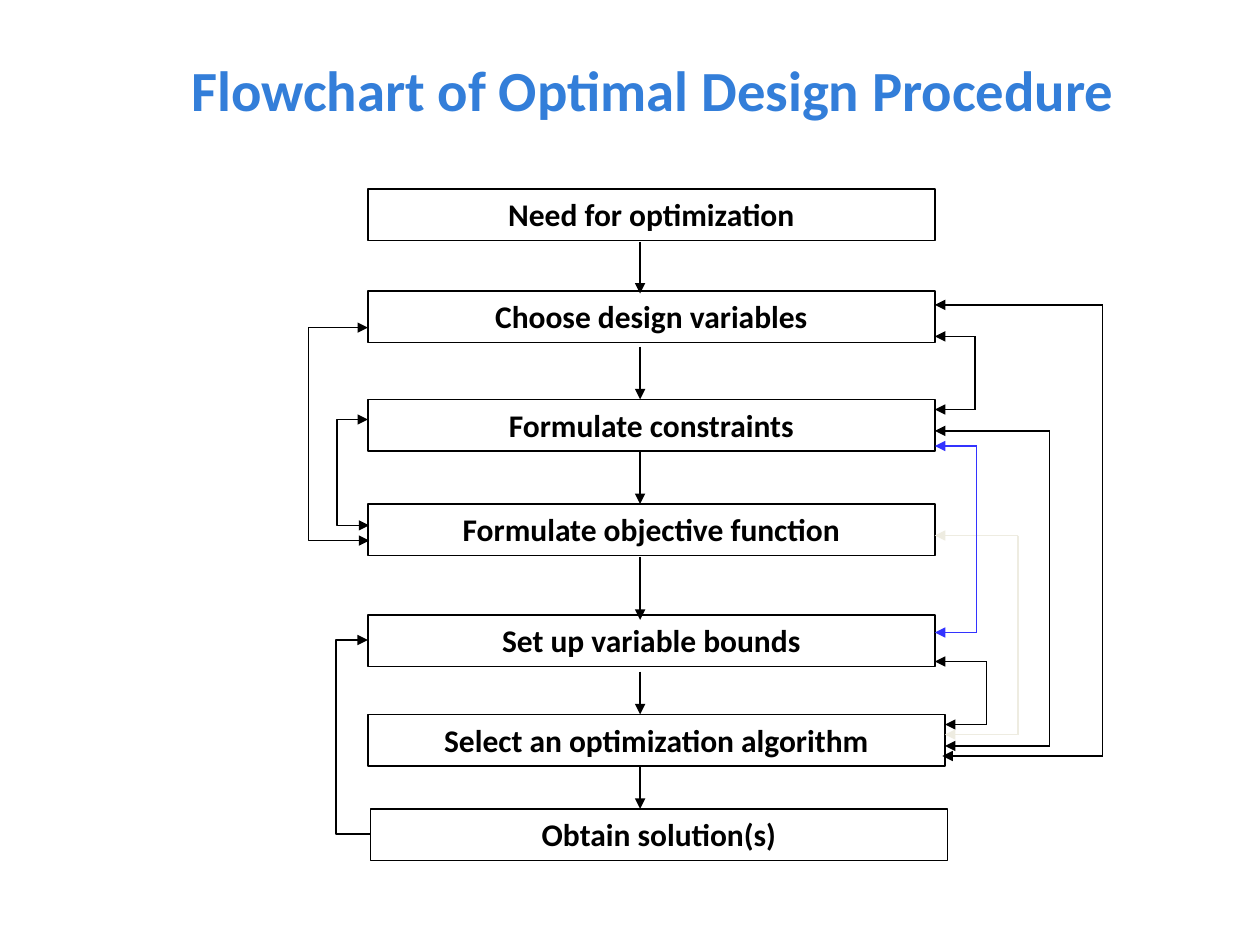
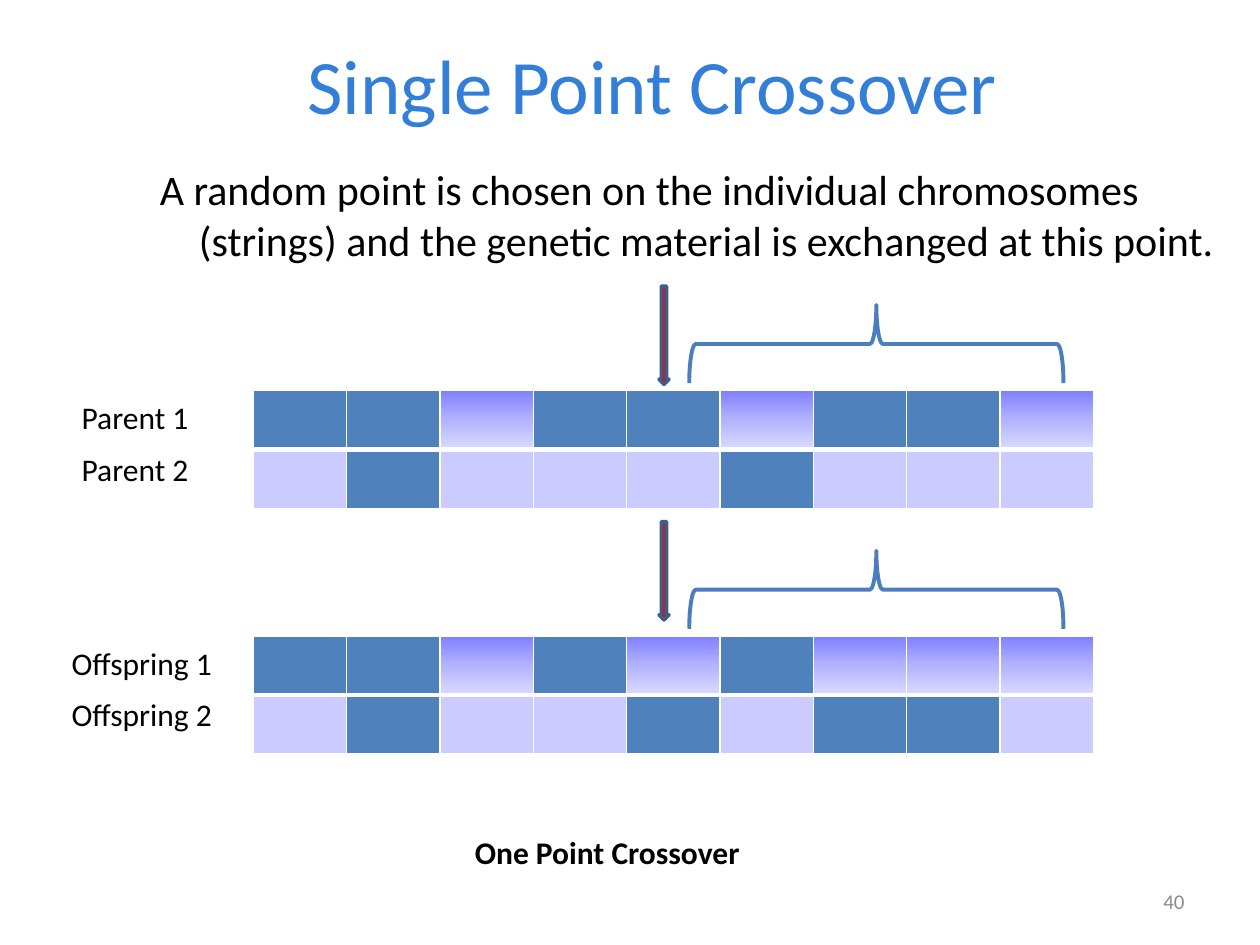
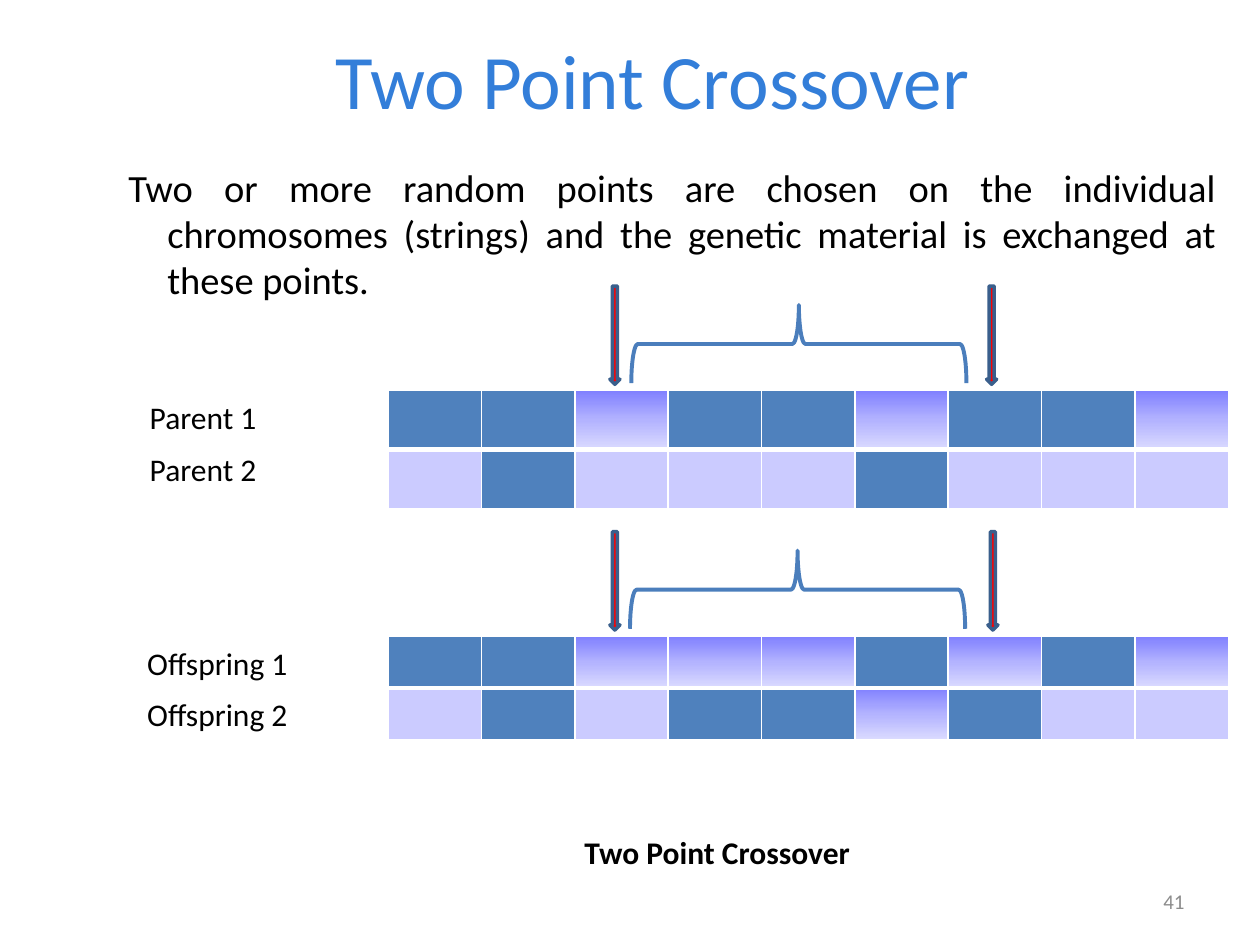
from lxml import etree
from pptx import Presentation
from pptx.dml.color import RGBColor
from pptx.enum import shapes, text
from pptx.oxml.ns import qn
from pptx.util import Inches, Pt

COLORS = {
    "title": "337ED9", "ink": "000000", "number": "8C8C8C", "white": "FFFFFF",
    "cream": "EEECE1", "blue": "3333FF", "red": "FF0000",
    "arrow_edge": "3A5F8C", "brace": "4B7EBC",
}
FONT = "Calibri"
SHAPE, ALIGN, ANCHOR = shapes.MSO_SHAPE, text.PP_ALIGN, text.MSO_ANCHOR

# ---- Content: flowchart (lengths in inches)
FLOW_TITLE = "Flowchart of Optimal Design Procedure"
BOX_HEIGHT = 0.41
STEPS = [  # label, left, top, width
    ("Need for optimization", 2.92, 1.5, 4.5),
    ("Choose design variables", 2.92, 2.31, 4.5),
    ("Formulate constraints", 2.92, 3.17, 4.5),
    ("Formulate objective function", 2.92, 4, 4.5),
    ("Set up variable bounds", 2.92, 4.88, 4.5),
    ("Select an optimization algorithm", 2.92, 5.67, 4.58),
    ("Obtain solution(s)", 2.94, 6.42, 4.58),
]
STEP_ARROW_X = 5.08
STEP_ARROWS = [(1.92, 2.33), (2.75, 3.17), (3.58, 4), (4.42, 4.92),
               (5.33, 5.67), (6.08, 6.42)]
RIGHT_LOOPS = [  # spine x, (box edge, y) at the top and at the bottom, colour
    (7.83, (7.42, 5.25), (7.5, 5.75), "ink"),
    (8.08, (7.42, 4.25), (7.5, 5.83), "cream"),
    (8.33, (7.42, 3.42), (7.5, 5.92), "ink"),
    (8.75, (7.42, 2.42), (7.48, 6), "ink"),
    (7.74, (7.42, 2.67), (7.42, 3.25), "ink"),
    (7.75, (7.42, 3.54), (7.42, 5.02), "blue"),
]
LEFT_LOOPS = [  # spine x, start, end, arrowheads
    (2.67, (2.92, 3.33), (2.93, 4.17), ("headEnd", "tailEnd")),
    (2.44, (2.92, 2.6), (2.93, 4.29), ("headEnd", "tailEnd")),
    (2.67, (2.94, 6.62), (2.92, 5.08), ("tailEnd",)),
]

# ---- Content: crossover slides. Genes: D dark, L light, G gradient
GENE_FILLS = {"D": ["4F81BD"], "L": ["CBCBFF"], "G": ["8080FF", "B3B3FF", "DADAFF"]}
PARENTS = ("DDGDDGDDG", "LDLLLDLLL")
CROSSOVERS = [
    {
        "title": ("Single Point Crossover", 0.25, 0.83),
        "body": "A random point is chosen on the individual chromosomes (strings) "
                "and the genetic material is exchanged at this point.",
        "body_box": (1.08, 1.25, 8.92, 1), "body_format": (24, ALIGN.LEFT),
        "table_left": 2.01,
        "groups": [
            {"name": "Parent", "left": 0.55, "genes": PARENTS, "empty_size": 22,
             "arrows": [(5.23, 2.27)], "brace": (5.47, 2.97)},
            {"name": "Offspring", "left": 0.47, "genes": ("DDGDGDGGG", "LDLLDLDDL"),
             "empty_size": 22, "arrows": [(5.23, 4.14)], "brace": (5.47, 2.97)},
        ],
        "caption": ("One Point Crossover", 3.67), "number": "40",
    },
    {
        "title": ("Two Point Crossover", 0, 1.25),
        "body": "Two or more random points are chosen on the individual chromosomes "
                "(strings) and the genetic material is exchanged at these points.",
        "body_box": (0.83, 1.25, 8.92, 1.08), "body_format": (22, ALIGN.JUSTIFY),
        "table_left": 3.08,
        "groups": [
            {"name": "Parent", "left": 1.09, "genes": PARENTS, "empty_size": 22,
             "arrows": [(4.84, 2.27), (7.83, 2.27)], "brace": (5.01, 2.66)},
            {"name": "Offspring", "left": 1.07, "genes": ("DDGGGDGDG", "LDLDDGDLL"),
             "empty_size": 18, "arrows": [(4.84, 4.22), (7.84, 4.22)],
             "brace": (5, 2.66)},
        ],
        "caption": ("Two Point Crossover", 4.54), "number": "41",
    },
]
GROUP_TOP, GROUP_STEP = 3.1, 1.95
TABLE_WIDTH, ROW_HEIGHT = 6.67, 0.41
BRACE_DEPTH, BRACE_GAP = 0.62, 0.06

presentation = Presentation()
presentation.slide_width, presentation.slide_height = Inches(10), Inches(7.5)


# ---- Shared helpers
def rgb(name):
    return RGBColor.from_string(COLORS[name])


def new_slide():
    return presentation.slides.add_slide(presentation.slide_layouts[6])


def write(shape, words, size, color="ink", bold=False, align=ALIGN.LEFT,
          anchor=ANCHOR.TOP, grow=False):
    frame = shape.text_frame
    frame.word_wrap = True
    frame.vertical_anchor = anchor
    if grow:
        frame.auto_size = text.MSO_AUTO_SIZE.SHAPE_TO_FIT_TEXT
    paragraph = frame.paragraphs[0]
    paragraph.alignment = align
    run = paragraph.add_run()
    run.text = words
    for key, value in {"name": FONT, "size": Pt(size), "bold": bold}.items():
        setattr(run.font, key, value)
    run.font.color.rgb = rgb(color)
    return paragraph


def add_text(slide, box, words, size, **options):
    shape = slide.shapes.add_textbox(*map(Inches, box))
    return write(shape, words, size, **options)


def add_title(slide, words, top, height, size, bold=False):
    add_text(slide, (1.08, top, 8.2, height), words, size, color="title",
             bold=bold, align=ALIGN.CENTER, anchor=ANCHOR.MIDDLE)


def add_outline(slide, kind, box, line, width, fill=None):
    shape = slide.shapes.add_shape(kind, *map(Inches, box))
    shape.shadow.inherit = False
    if fill:
        shape.fill.solid()
        shape.fill.fore_color.rgb = rgb(fill)
    else:
        shape.fill.background()
    shape.line.color.rgb = rgb(line)
    shape.line.width = Pt(width)
    return shape


def add_line(slide, start, end, color="ink", heads=(), spine=None):
    """Straight line, or an elbow that runs by way of x = spine."""
    kind = shapes.MSO_CONNECTOR.STRAIGHT if spine is None else shapes.MSO_CONNECTOR.ELBOW
    connector = slide.shapes.add_connector(kind, *map(Inches, (*start, *end)))
    connector.line.color.rgb = rgb(color)
    connector.line.width = Pt(1)
    properties = connector._element.spPr
    for head in heads:
        etree.SubElement(properties.find(qn("a:ln")), qn("a:" + head), type="triangle")
    etree.SubElement(properties, qn("a:effectLst"))
    if spine is not None:
        share = round((spine - start[0]) / (end[0] - start[0]) * 100000)
        guides = properties.find(qn("a:prstGeom")).get_or_add_avLst()
        etree.SubElement(guides, qn("a:gd"), name="adj1", fmla=f"val {share}")


# ---- Gene tables
def add_solid(parent, color):
    fill = etree.SubElement(parent, qn("a:solidFill"))
    etree.SubElement(fill, qn("a:srgbClr"), val=color)


def style_cell(cell, colors, borders, empty_size):
    properties = cell._tc.get_or_add_tcPr()
    for side, width in borders.items():
        add_solid(etree.SubElement(properties, qn("a:ln" + side), w=str(Pt(width))),
                  COLORS["white"])
    if len(colors) == 1:
        add_solid(properties, colors[0])
    else:
        gradient = etree.SubElement(properties, qn("a:gradFill"))
        stops = etree.SubElement(gradient, qn("a:gsLst"))
        for index, color in enumerate(colors):
            position = index * 100000 // (len(colors) - 1)
            stop = etree.SubElement(stops, qn("a:gs"), pos=str(position))
            etree.SubElement(stop, qn("a:srgbClr"), val=color)
        etree.SubElement(gradient, qn("a:lin"), ang="5400000", scaled="0")
    # The size of the empty paragraph sets the row's least height
    mark = etree.SubElement(cell.text_frame.paragraphs[0]._p, qn("a:endParaRPr"),
                            sz=str(empty_size * 100))
    etree.SubElement(mark, qn("a:latin"), typeface=FONT)


def add_genes(slide, left, top, rows, empty_size):
    count = len(rows[0])
    table = slide.shapes.add_table(
        len(rows), count, Inches(left), Inches(top),
        Inches(TABLE_WIDTH), Inches(ROW_HEIGHT * len(rows))).table
    table.first_row = table.horz_banding = False
    for column in table.columns:
        column.width = Inches(TABLE_WIDTH / count)
    for r, genes in enumerate(rows):
        table.rows[r].height = Inches(ROW_HEIGHT)
        borders = {"L": 1, "R": 1, "T": 3 if r else 1, "B": 1 if r else 3}
        for c, gene in enumerate(genes):
            style_cell(table.cell(r, c), GENE_FILLS[gene], borders, empty_size)


# ---- Slide 1: flowchart
slide = new_slide()
add_title(slide, FLOW_TITLE, 0.08, 1.25, 32.4, bold=True)
for label, left, top, width in STEPS:
    box = add_outline(slide, SHAPE.RECTANGLE, (left, top, width, BOX_HEIGHT), "ink", 1)
    write(box, label, 18, bold=True, align=ALIGN.CENTER, grow=True)
for top, bottom in STEP_ARROWS:
    add_line(slide, (STEP_ARROW_X, top), (STEP_ARROW_X, bottom), heads=["tailEnd"])
for spine, upper, lower, color in RIGHT_LOOPS:
    add_line(slide, (spine, upper[1]), (spine, lower[1]), color)
    for target in (upper, lower):
        add_line(slide, (spine, target[1]), target, color, ["tailEnd"])
for spine, start, end, heads in LEFT_LOOPS:
    add_line(slide, start, end, heads=heads, spine=spine)

# ---- Slides 2 and 3: crossover
for content in CROSSOVERS:
    slide = new_slide()
    add_title(slide, *content["title"], 44)
    size, align = content["body_format"]
    body = add_text(slide, content["body_box"], content["body"], size, align=align)
    body.space_before = Pt(6)
    indents = body._p.get_or_add_pPr()
    indents.set("marL", str(Inches(0.4)))
    indents.set("indent", str(Inches(-0.31)))

    for index, group in enumerate(content["groups"]):
        top = GROUP_TOP + index * GROUP_STEP
        add_genes(slide, content["table_left"], top, group["genes"], group["empty_size"])
        for row in range(2):
            add_text(slide, (group["left"], top + 0.01 + row * ROW_HEIGHT, 1.43, 0.4),
                     f"{group['name']} {row + 1}", 18, grow=True)
        for left, arrow_top in group["arrows"]:
            add_outline(slide, SHAPE.DOWN_ARROW, (left, arrow_top, 0.08, 0.78),
                        "arrow_edge", 2, "red")
        # A left brace turned a quarter about its centre spans the swapped genes
        left, span = group["brace"]
        center_x = left + span / 2
        center_y = top - BRACE_GAP - BRACE_DEPTH / 2
        brace = add_outline(
            slide, SHAPE.LEFT_BRACE,
            (center_x - BRACE_DEPTH / 2, center_y - span / 2, BRACE_DEPTH, span),
            "brace", 2.25)
        brace.rotation = 90

    caption, left = content["caption"]
    add_text(slide, (left, 6.56, 2.71, 0.4), caption, 18, bold=True, grow=True)
    add_text(slide, (7.17, 6.95, 2.33, 0.4), content["number"], 12, color="number",
             align=ALIGN.RIGHT, anchor=ANCHOR.MIDDLE)

presentation.save("out.pptx")
